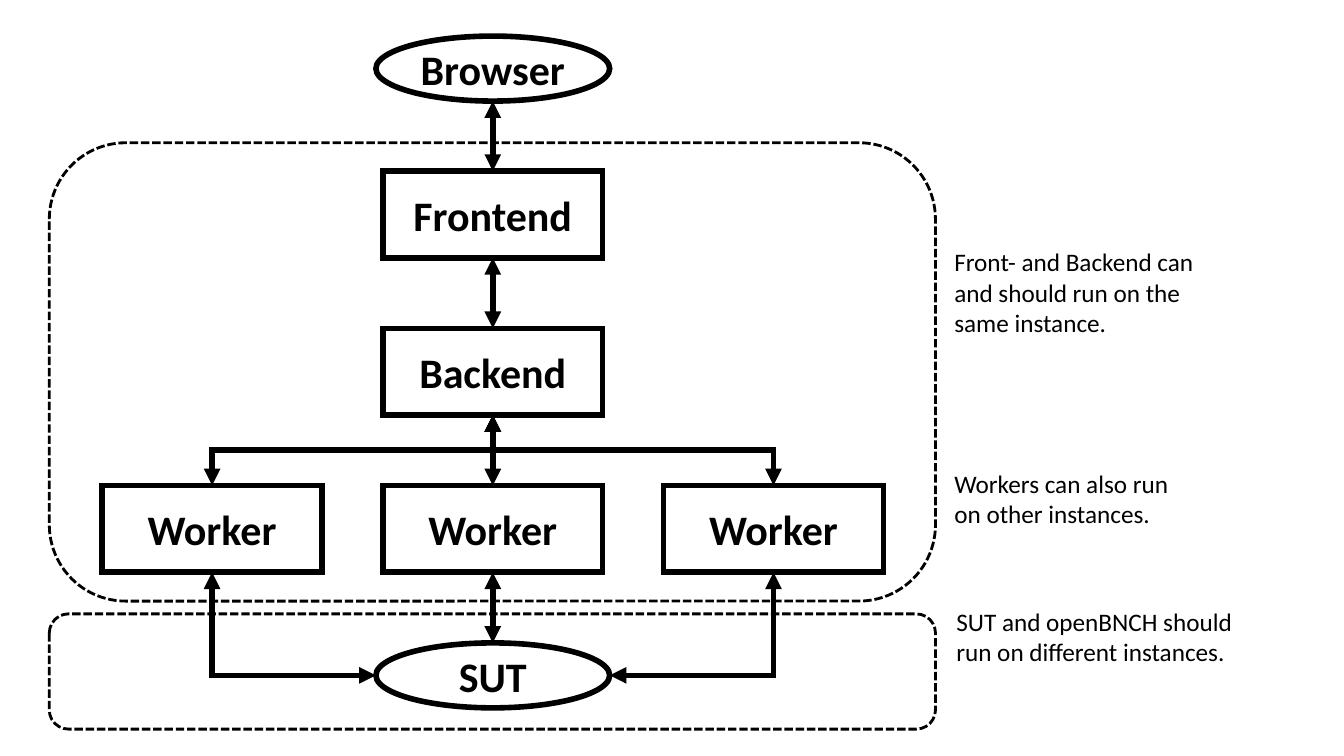
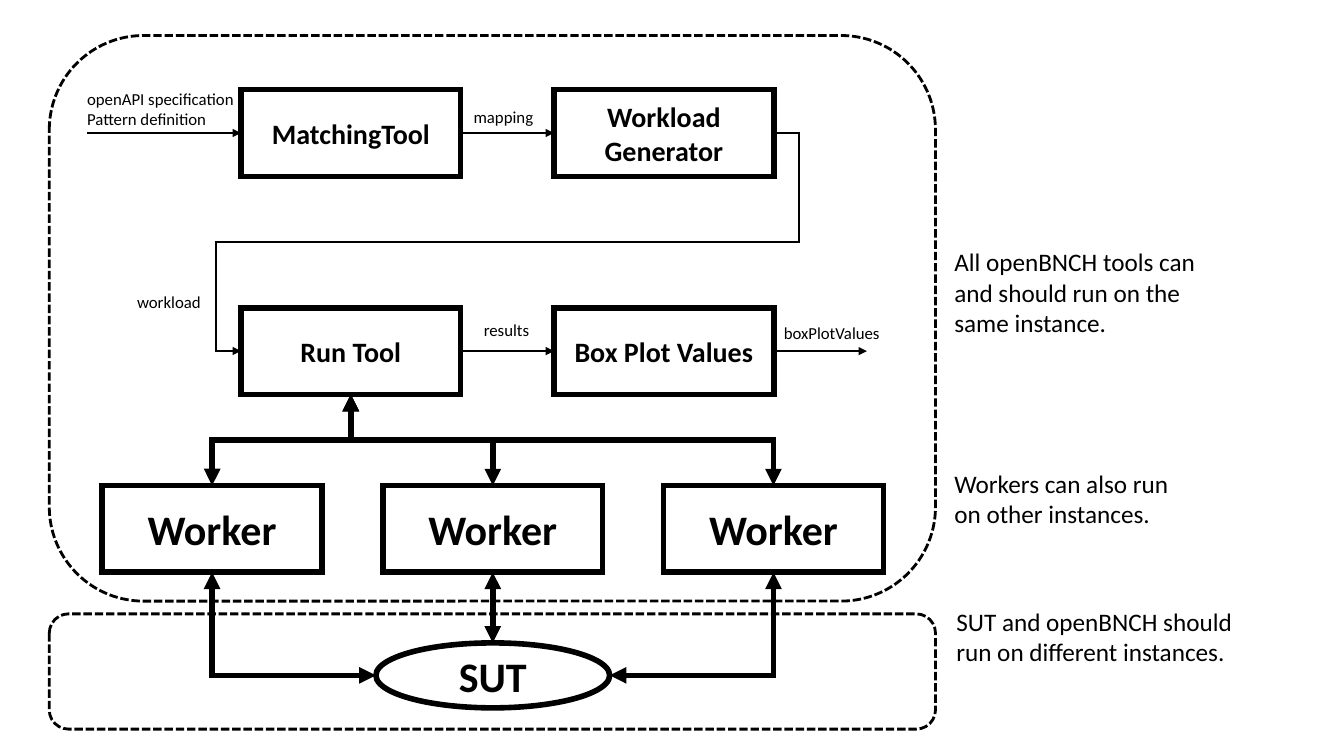
"""Build two architecture slides: the service layout and the tool chain."""
import pptx
import pptx.util
import pptx.dml.color
import pptx.enum.dml
import pptx.enum.shapes
import pptx.enum.text
import pptx.oxml.ns
import lxml.etree

Pt = pptx.util.Pt
qn = pptx.oxml.ns.qn
RGB = pptx.dml.color.RGBColor.from_string
SHAPE = pptx.enum.shapes.MSO_SHAPE
JOIN = pptx.enum.shapes.MSO_CONNECTOR
COLORS = {"ink": "000000", "paper": "FFFFFF"}
FONT = "Calibri"

MID = 352
COLS = [MID - 200.5, MID, MID + 200.5]
BOX = (157, 62)
OVAL = (167, 46.4)
FRONT, BACK, WORK = [153.2 + 112.3 * i for i in range(3)]
BROWSE, SUT = 49, 482.4
HALF = BOX[1] / 2
RIM = OVAL[1] / 2


def block(slide, kind, x, y, size, text, points=30):
    """Draw a bold labelled outline centred on x, y."""
    wide, high = size
    item = slide.shapes.add_shape(kind, Pt(x - wide / 2), Pt(y - high / 2), Pt(wide), Pt(high))
    item.shadow.inherit = False
    item.fill.solid()
    item.fill.fore_color.rgb = RGB(COLORS["paper"])
    item.line.color.rgb = RGB(COLORS["ink"])
    item.line.width = Pt(4)
    edge = item.element.spPr.find(qn("a:ln"))
    lxml.etree.SubElement(edge, qn("a:miter"), lim="800000")
    frame = item.text_frame
    frame.text = text
    frame.word_wrap = True
    frame.vertical_anchor = pptx.enum.text.MSO_ANCHOR.MIDDLE
    para = frame.paragraphs[0]
    para.alignment = pptx.enum.text.PP_ALIGN.CENTER
    font = para.runs[0].font
    font.name, font.size, font.bold = FONT, Pt(points), True
    font.color.rgb = RGB(COLORS["ink"])


def link(slide, x1, y1, x2, y2, form="line", width=4, both=True, bends=()):
    """Draw an arrow; bentConnector2 and 3 leave downwards, so turn by 90 degrees."""
    turn = form in ("bentConnector2", "bentConnector3")
    if turn:
        x, y = (x1 + x2) / 2, (y1 + y2) / 2
        dx, dy = (x2 - x1) / 2, (y2 - y1) / 2
        x1, y1, x2, y2 = x - dy, y + dx, x + dy, y - dx
    kind = JOIN.STRAIGHT if form == "line" else JOIN.ELBOW
    line = slide.shapes.add_connector(kind, Pt(x1), Pt(y1), Pt(x2), Pt(y2))
    line.line.color.rgb = RGB(COLORS["ink"])
    line.line.width = Pt(width)
    props = line.element.spPr
    if turn:
        props.find(qn("a:xfrm")).set("rot", "5400000")
    geom = props.find(qn("a:prstGeom"))
    geom.set("prst", form)
    for i, bend in enumerate(bends, 1):
        lxml.etree.SubElement(geom.find(qn("a:avLst")), qn("a:gd"),
                              name=f"adj{i}", fmla=f"val {bend}")
    edge = props.find(qn("a:ln"))
    lxml.etree.SubElement(edge, qn("a:miter"), lim="800000")
    for end in ("headEnd", "tailEnd") if both else ("tailEnd",):
        lxml.etree.SubElement(edge, qn("a:" + end), type="triangle")
    lxml.etree.SubElement(props, qn("a:effectLst"))


deck = pptx.Presentation()
deck.slide_width, deck.slide_height = Pt(960), Pt(540)
layout, tools = [deck.slides.add_slide(deck.slide_layouts[6]) for _ in range(2)]

for name, y, kind in [("Browser", BROWSE, SHAPE.OVAL), ("Frontend", FRONT, SHAPE.RECTANGLE),
                      ("Backend", BACK, SHAPE.RECTANGLE)]:
    block(layout, kind, MID, y, OVAL if kind == SHAPE.OVAL else BOX, name)
link(layout, MID, BROWSE + RIM, MID, FRONT - HALF)
link(layout, MID, FRONT + HALF, MID, BACK - HALF)

LEFT, RIGHT = 250.6, 474.2
TOP, LOW = 95, 250.8
SIDE = BOX[0] / 2
for name, x, y in [("MatchingTool", LEFT, TOP), ("Workload Generator", RIGHT, TOP),
                   ("Run Tool", LEFT, LOW), ("Box Plot Values", RIGHT, LOW)]:
    block(tools, SHAPE.RECTANGLE, x, y, BOX, name, 20)
for x1, x2, y in [(62, LEFT - SIDE, TOP), (LEFT + SIDE, RIGHT - SIDE, TOP),
                  (LEFT + SIDE, RIGHT - SIDE, LOW), (RIGHT + SIDE, 619.2, LOW)]:
    link(tools, x1, y, x2, y, width=1.5, both=False)
link(tools, RIGHT + SIDE, TOP, LEFT - SIDE, LOW, "bentConnector5", 1.5, False,
     (-4700, 50000, 104700))

for slide, root, base, roof in [(layout, MID, BACK + HALF, 102), (tools, LEFT, LOW + HALF, 25.4)]:
    for x in COLS:
        block(slide, SHAPE.RECTANGLE, x, WORK, BOX, "Worker")
        link(slide, root, base, x, WORK - HALF, "line" if x == root else "bentConnector3")
    block(slide, SHAPE.OVAL, MID, SUT, OVAL, "SUT")
    link(slide, MID, WORK + HALF, MID, SUT - RIM)
    for x, side in [(COLS[0], -1), (COLS[2], 1)]:
        link(slide, x, WORK + HALF, MID + side * OVAL[0] / 2, SUT, "bentConnector2")
    for top, foot in [(roof, 429.4), (438.5, 520.8)]:
        zone = slide.shapes.add_shape(SHAPE.ROUNDED_RECTANGLE, Pt(35.2), Pt(top),
                                      Pt(633), Pt(foot - top))
        zone.shadow.inherit = False
        zone.fill.background()
        zone.line.color.rgb = RGB(COLORS["ink"])
        zone.line.width = Pt(2)
        zone.line.dash_style = pptx.enum.dml.MSO_LINE.SQUARE_DOT

shared = [("SUT and openBNCH should run on different instances.", 676, 429.6, 212.5, 51, 18),
          ("Workers can also run on other instances.", 674.6, 331, 175.5, 51, 18)]
NOTES = [
    (layout, shared + [
        ("Front- and Backend can and should run on the same instance.", 674.6, 172.6, 193.5, 73, 18)]),
    (tools, shared + [
        ("All openBNCH tools can and should run on the same instance.", 674.6, 172.6, 193.5, 73, 18),
        ("openAPI specification\vPattern definition", 55.1, 60, 121, 36, 12),
        ("mapping", 331.2, 73, 69, 22, 12),
        ("workload", 90.8, 205, 121, 22, 12),
        ("results", 338.5, 225, 60.5, 22, 12),
        ("boxPlotValues", 552.8, 227, 93.6, 22, 12)]),
]
for slide, notes in NOTES:
    for text, x, y, wide, high, points in notes:
        note = slide.shapes.add_textbox(Pt(x), Pt(y), Pt(wide), Pt(high))
        frame = note.text_frame
        frame.word_wrap = True
        frame.auto_size = pptx.enum.text.MSO_AUTO_SIZE.SHAPE_TO_FIT_TEXT
        para = frame.paragraphs[0]
        para.text = text
        for run in para.runs:
            run.font.name, run.font.size = FONT, Pt(points)
            run.font.color.rgb = RGB(COLORS["ink"])

deck.save("out.pptx")
